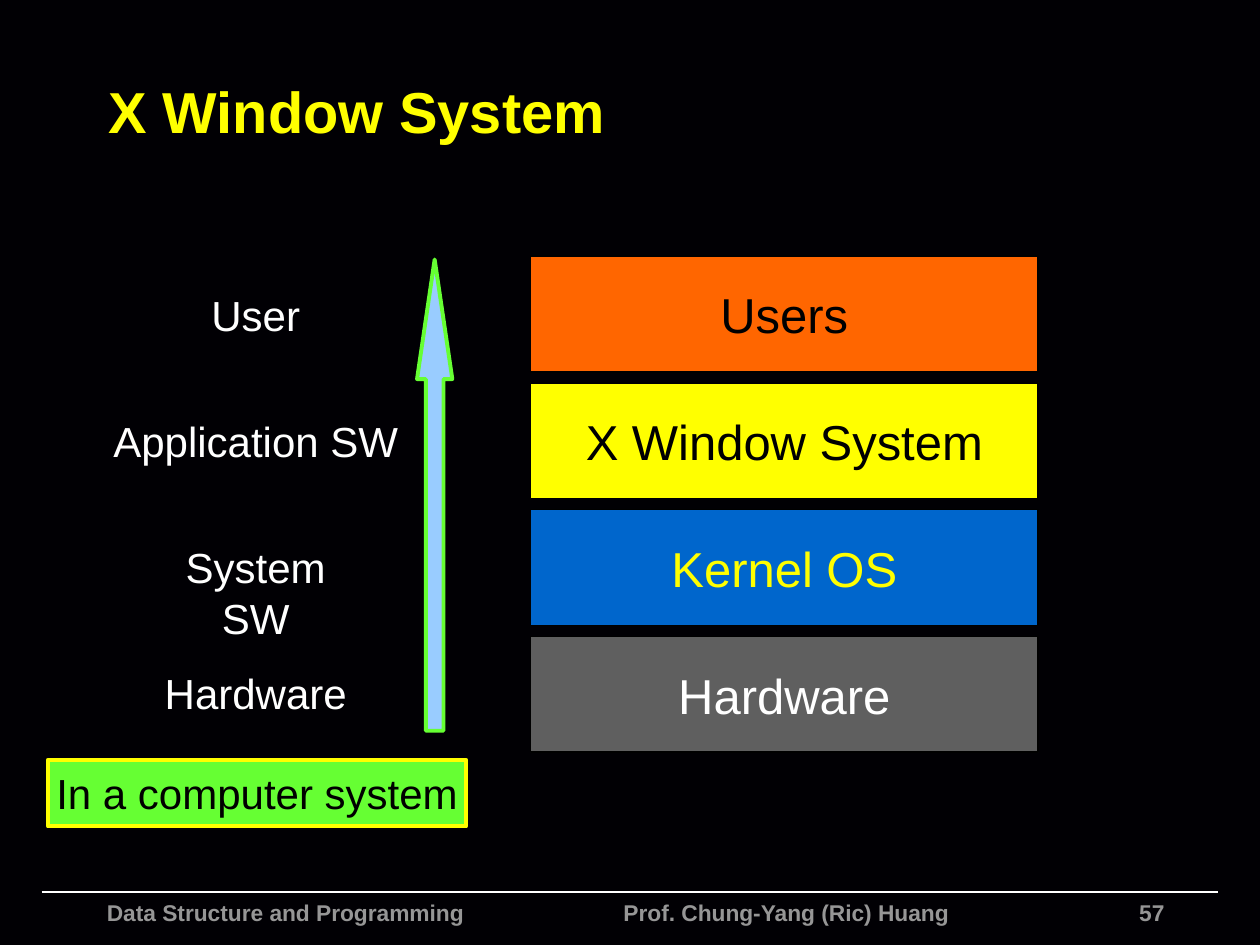
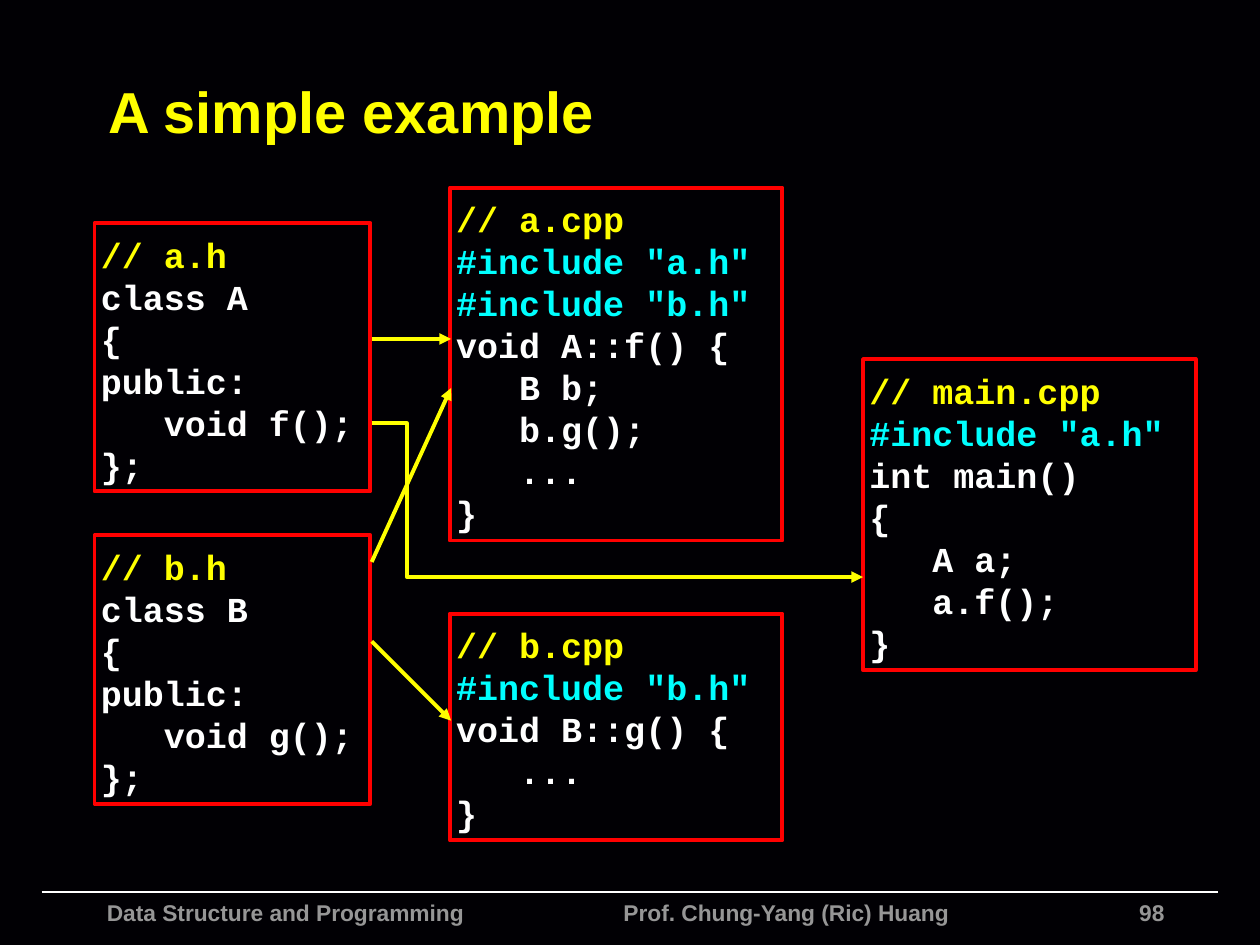
from pptx import Presentation
from pptx.dml.color import RGBColor
from pptx.enum.shapes import MSO_CONNECTOR, MSO_SHAPE
from pptx.enum.text import MSO_ANCHOR, PP_ALIGN
from pptx.oxml import parse_xml
from pptx.oxml.ns import nsdecls
from pptx.util import Inches, Pt

NIGHT = RGBColor(0x01, 0x00, 0x04)
BLACK = RGBColor(0x00, 0x00, 0x00)
WHITE = RGBColor(0xFF, 0xFF, 0xFF)
YELLOW = RGBColor(0xFF, 0xFF, 0x00)
ORANGE = RGBColor(0xFF, 0x66, 0x00)
BLUE = RGBColor(0x00, 0x66, 0xCC)
GRAY = RGBColor(0x5F, 0x5F, 0x5F)
FOOTER_GRAY = RGBColor(0x96, 0x96, 0x96)
SKY = RGBColor(0x99, 0xCC, 0xFF)
GREEN = RGBColor(0x66, 0xFF, 0x33)
RED = RGBColor(0xFF, 0x00, 0x00)
CYAN = RGBColor(0x00, 0xFF, 0xFF)

COLUMNS, ROWS = 100, 75
CELL = Inches(0.1)
BODY_FONT, CODE_FONT = "Arial", "Courier New"
THICK = 2.25

# Title of each layer, its label with label width, fill and font colour, from the top
LAYERS = [
    ("Users", "User", 10, ORANGE, BLACK),
    ("X Window System", "Application SW", 26, YELLOW, BLACK),
    ("Kernel OS", "System SW", 17, BLUE, YELLOW),
    ("Hardware", "Hardware", 17, GRAY, WHITE),
]

# Left, top, width, height and source lines of each file
FILES = [
    (7.5, 17.7, 21.9, 21.3,
     ["// a.h", "class A", "{", "public:", "\tvoid f();", "};"]),
    (7.5, 42.5, 21.9, 21.3,
     ["// b.h", "class B", "{", "public:", "\tvoid g();", "};"]),
    (35.7, 14.9, 26.4, 28,
     ["// a.cpp", '#include "a.h"', '#include "b.h"', "void A::f() {",
      "\tB b;", "\tb.g();", "\t...", "}"]),
    (35.7, 48.7, 26.4, 18,
     ["// b.cpp", '#include "b.h"', "void B::g() {", "\t...", "}"]),
    (68.5, 28.5, 26.4, 24.7,
     ["// main.cpp", '#include "a.h"', "int main()", "{", "\tA a;",
      "\ta.f();", "}"]),
]


def cells(*counts):
    """Turn grid counts into lengths."""
    return [round(count * CELL) for count in counts]


def format_font(paragraph, size, color, bold=False, name=BODY_FONT):
    font = paragraph.font
    font.name, font.size, font.bold = name, Pt(size), bold
    font.color.rgb = color


def set_insets(frame, side, top):
    frame.margin_left = frame.margin_right = Inches(side)
    frame.margin_top = frame.margin_bottom = Inches(top)


def add_text(slide, box, text, size, color, align, bold=False, inset=0.05):
    frame = slide.shapes.add_textbox(*cells(*box)).text_frame
    frame.word_wrap = True
    set_insets(frame, inset, 0.05)
    paragraph = frame.paragraphs[0]
    paragraph.text, paragraph.alignment = text, align
    format_font(paragraph, size, color, bold)


def add_outlined(slide, kind, box, fill, line, width):
    shape = slide.shapes.add_shape(kind, *cells(*box))
    shape.shadow.inherit = False
    if fill is None:
        shape.fill.background()
    else:
        shape.fill.solid()
        shape.fill.fore_color.rgb = fill
    shape.line.color.rgb = line
    shape.line.width = Pt(width)
    return shape


def add_block(slide, box, text, size, color, fill, line, width):
    """Add a filled rectangle with one centred line of text."""
    shape = add_outlined(slide, MSO_SHAPE.RECTANGLE, box, fill, line, width)
    frame = shape.text_frame
    set_insets(frame, 0.05, 0.05)
    frame.word_wrap = False
    frame.vertical_anchor = MSO_ANCHOR.MIDDLE
    paragraph = frame.paragraphs[0]
    paragraph.text, paragraph.alignment = text, PP_ALIGN.CENTER
    format_font(paragraph, size, color)


def code_color(line):
    if line.startswith("//"):
        return YELLOW
    return CYAN if line.startswith("#") else WHITE


def add_code(slide, box, lines):
    """Add a framed source file; a leading tab marks an indented line."""
    shape = add_outlined(slide, MSO_SHAPE.RECTANGLE, box, None, RED, THICK)
    frame = shape.text_frame
    frame.word_wrap = True
    frame.vertical_anchor = MSO_ANCHOR.TOP
    set_insets(frame, 0.05, 0.08)
    for index, line in enumerate(lines):
        paragraph = frame.add_paragraph() if index else frame.paragraphs[0]
        paragraph.text = line.lstrip("\t")
        paragraph.alignment = PP_ALIGN.LEFT
        paragraph.line_spacing = Pt(24)
        if line.startswith("\t"):
            paragraph._p.get_or_add_pPr().set("marL", str(Inches(0.5)))
        format_font(paragraph, 20, code_color(line), True, CODE_FONT)


def add_line(slide, start, end, color, width):
    connector = slide.shapes.add_connector(
        MSO_CONNECTOR.STRAIGHT, *cells(*start, *end))
    connector.line.color.rgb = color
    connector.line.width = Pt(width)
    connector._element.spPr.append(
        parse_xml(f"<a:effectLst {nsdecls('a')}/>"))
    return connector


def add_arrowhead(shape):
    shape.line._get_or_add_ln().append(
        parse_xml(f'<a:tailEnd {nsdecls("a")} type="triangle"/>'))


def add_bent_arrow(slide, points):
    start, *rest = [cells(*point) for point in points]
    builder = slide.shapes.build_freeform(*start)
    builder.add_line_segments(rest, close=False)
    shape = builder.convert_to_shape()
    shape.shadow.inherit = False
    shape.fill.background()
    shape.line.color.rgb = YELLOW
    shape.line.width = Pt(THICK)
    add_arrowhead(shape)


def add_titled_slide(presentation, title, number):
    """Add a slide with its title, footer rule and footer texts."""
    slide = presentation.slides.add_slide(presentation.slide_layouts[5])
    placeholder = slide.shapes.title
    (placeholder.left, placeholder.top,
     placeholder.width, placeholder.height) = cells(7.6, 3.7, 88.4, 10.1)
    frame = placeholder.text_frame
    frame.text = title
    frame.vertical_anchor = MSO_ANCHOR.MIDDLE
    set_insets(frame, 0.1, 0.05)
    frame.paragraphs[0].alignment = PP_ALIGN.LEFT
    format_font(frame.paragraphs[0], 33, YELLOW, True)

    add_line(slide, (3.3, 70.8), (96.7, 70.8), WHITE, 1)
    footers = [
        (7.5, 36, "Data Structure and Programming", PP_ALIGN.LEFT),
        (48.5, 32, "Prof. Chung-Yang (Ric) Huang", PP_ALIGN.LEFT),
        (83.4, 10, str(number), PP_ALIGN.RIGHT),
    ]
    for left, width, text, align in footers:
        add_text(slide, (left, 70.8, width, 4.2), text, 13, FOOTER_GRAY,
                 align, bold=True, inset=0.1)
    return slide


def build_layers(presentation):
    slide = add_titled_slide(presentation, "X Window System", 57)
    label_center = 20.3
    for row, (name, label, width, fill, color) in enumerate(LAYERS):
        add_block(slide, (42.1, 20.3 + 10.07 * row, 40.3, 9.2),
                  name, 28, color, fill, BLACK, 1)
        add_text(slide, (label_center - width / 2, 22.5 + 10 * row, width, 5),
                 label, 24, WHITE, PP_ALIGN.CENTER)
    arrow = add_outlined(slide, MSO_SHAPE.UP_ARROW, (33.1, 20.6, 2.8, 37.4),
                         SKY, GREEN, THICK)
    arrow.adjustments[0], arrow.adjustments[1] = 0.5, 3.39
    add_block(slide, (3.8, 60.3, 33.2, 5.3), "In a computer system",
              24, BLACK, GREEN, YELLOW, THICK)


def build_includes(presentation):
    slide = add_titled_slide(presentation, "A simple example", 98)
    for *box, lines in FILES:
        add_code(slide, box, lines)
    header_edge, source_edge = 29.5, 35.8
    for start, end in [(26.9, 26.9), (44.6, 30.8), (50.9, 57.2)]:
        add_arrowhead(add_line(slide, (header_edge, start),
                               (source_edge, end), YELLOW, THICK))
    add_bent_arrow(slide, [(header_edge, 33.6), (32.3, 33.6),
                           (32.3, 45.8), (68.5, 45.8)])


def main():
    presentation = Presentation()
    presentation.slide_width, presentation.slide_height = cells(COLUMNS, ROWS)
    background = presentation.slide_master.background.fill
    background.solid()
    background.fore_color.rgb = NIGHT
    build_layers(presentation)
    build_includes(presentation)
    presentation.save("out.pptx")


if __name__ == "__main__":
    main()
